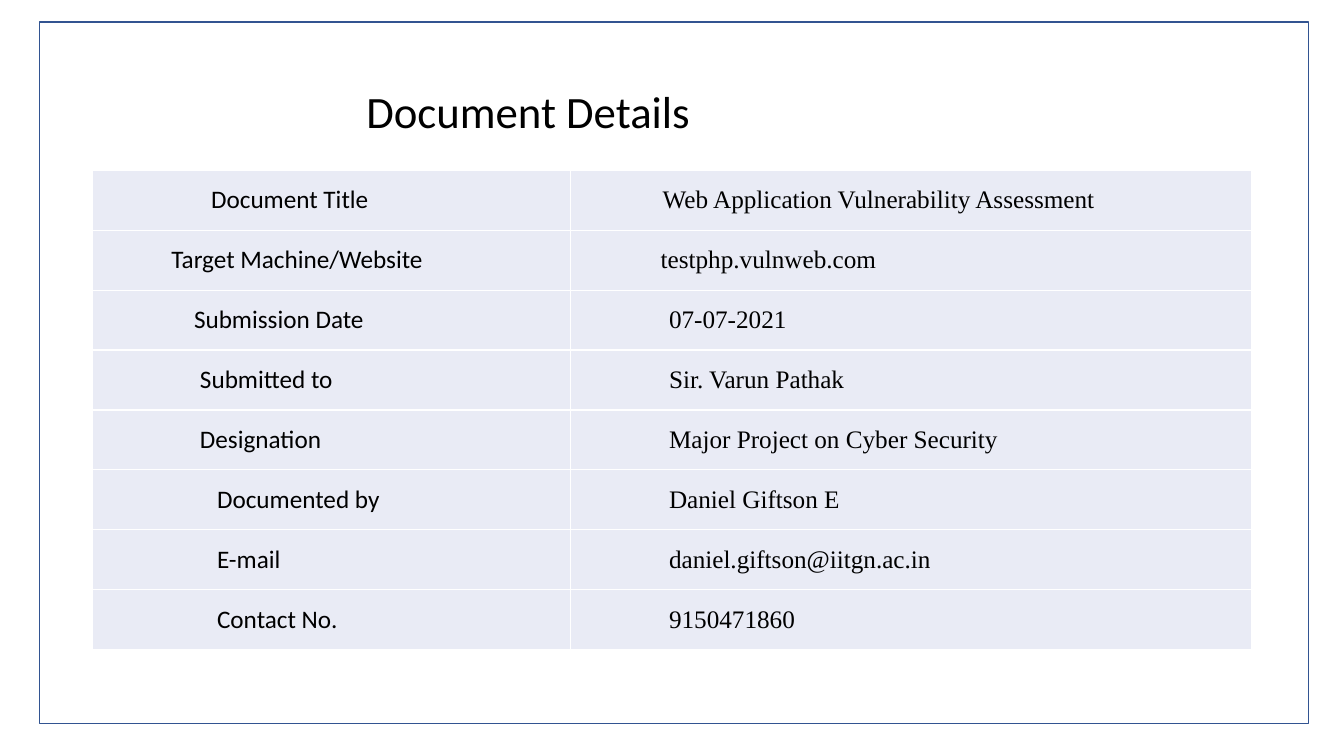
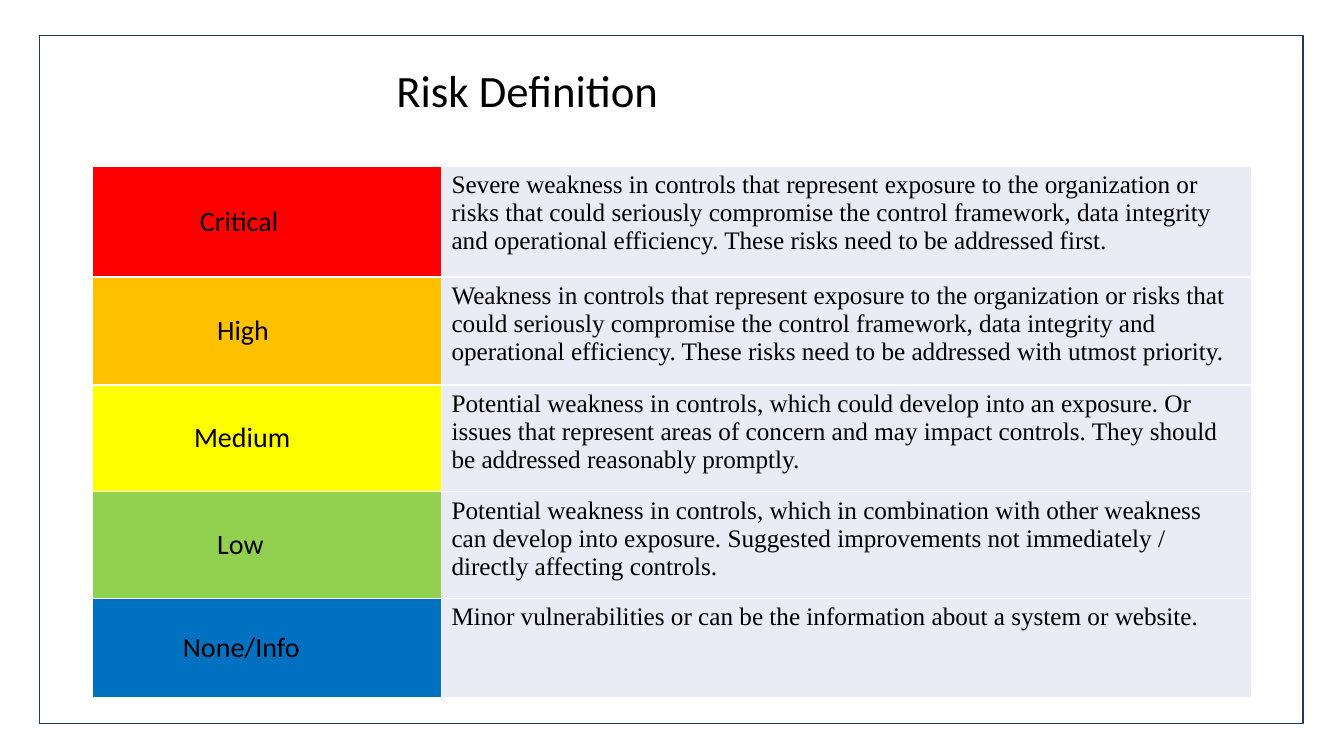
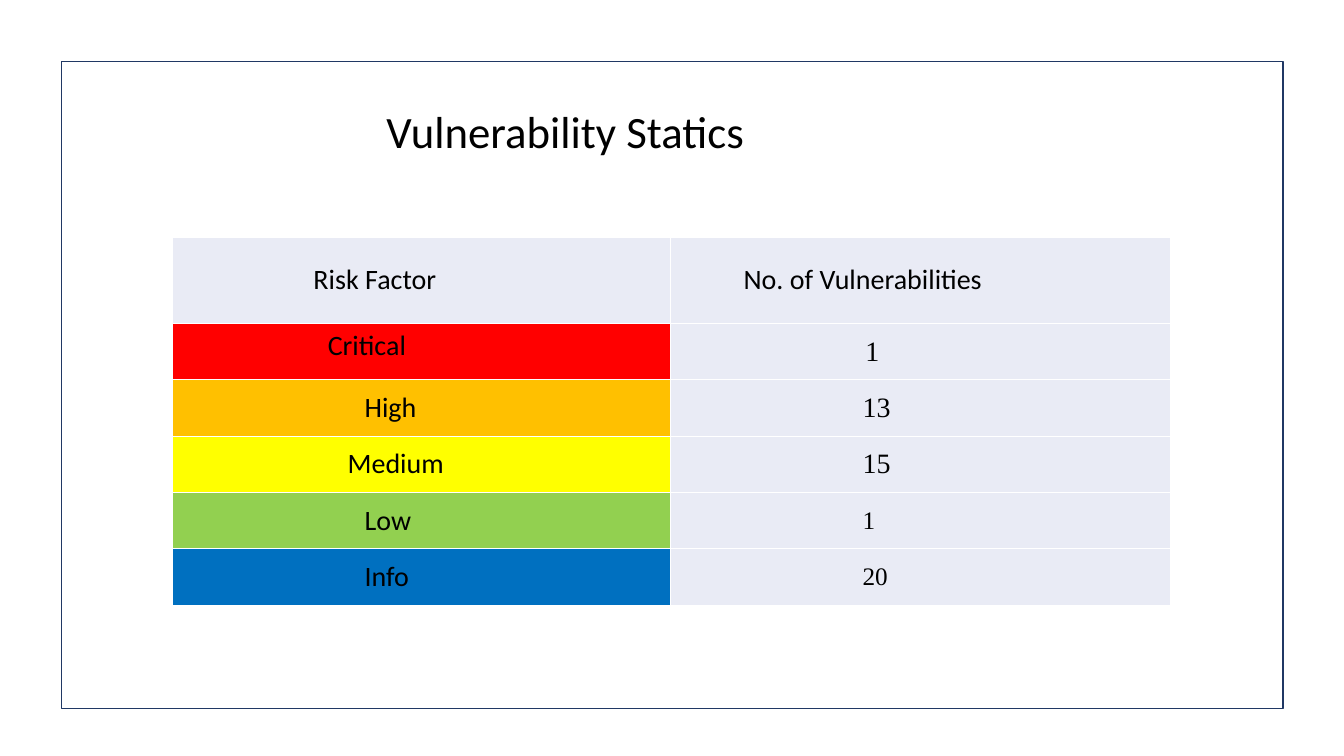
from dataclasses import dataclass

from pptx import Presentation
from pptx.dml.color import RGBColor
from pptx.enum.shapes import MSO_SHAPE
from pptx.enum.text import MSO_ANCHOR, MSO_AUTO_SIZE, PP_ALIGN
from pptx.util import Cm, Pt

TOP, MIDDLE = MSO_ANCHOR.TOP, MSO_ANCHOR.MIDDLE
LEFT = PP_ALIGN.LEFT
NO_FIT = MSO_AUTO_SIZE.NONE
RECTANGLE = MSO_SHAPE.RECTANGLE
TITLE_ONLY = 5


@dataclass(frozen=True)
class Theme:
    sans: str = "Calibri"
    serif: str = "Times New Roman"
    ink: str = "000000"
    cell: str = "E9EBF5"
    blue: str = "325491"
    navy: str = "203864"
    critical: str = "FF0000"
    high: str = "FFC000"
    medium: str = "FFFF00"
    low: str = "92D050"
    info: str = "0070C0"
    title_size: int = 32
    large: int = 20
    body: int = 18


THEME = Theme()
PADDING = 0.25


# Content: each cell is (text, left indent in cm, format)
def label(text, indent, **style):
    return text, indent, {"font": THEME.sans, "size": THEME.large, **style}


def value(text, indent=PADDING, **style):
    return text, indent, {"font": THEME.serif, "size": THEME.body, **style}


details = [
    ("Document Title", 2.98, "Web Application Vulnerability Assessment", 2.32),
    ("Target Machine/Website", 1.98, "testphp.vulnweb.com", 2.27),
    ("Submission Date", 2.55, "07-07-2021", 2.48),
    ("Submitted to", 2.7, "Sir. Varun Pathak", 2.48),
    ("Designation", 2.7, "Major Project on Cyber Security", 2.48),
    ("Documented by", 3.13, "Daniel Giftson E", 2.48),
    ("E-mail", 3.13, "daniel.giftson@iitgn.ac.in", 2.48),
    ("Contact No.", 3.13, "9150471860", 2.48),
]

risks = [
    ("Critical", 2.7, THEME.critical,
     "Severe weakness in controls that represent exposure to the organization or risks that "
     "could seriously compromise the control framework, data integrity and operational "
     "efficiency. These risks need to be addressed first."),
    ("High", 3.13, THEME.high,
     "Weakness in controls that represent exposure to the organization or risks that could "
     "seriously compromise the control framework, data integrity and operational efficiency. "
     "These risks need to be addressed with utmost priority."),
    ("Medium", 2.55, THEME.medium,
     "Potential weakness in controls, which could develop into an exposure. Or issues that "
     "represent areas of concern and may impact controls. They should be addressed reasonably "
     "promptly."),
    ("Low", 3.13, THEME.low,
     "Potential weakness in controls, which in combination with other weakness can develop "
     "into exposure. Suggested improvements not immediately / directly affecting controls."),
    ("None/Info", 2.27, THEME.info,
     "Minor vulnerabilities or can be the information about a system or website."),
]

counts = [
    (label("Critical", 3.92, fill=THEME.critical, anchor=TOP),
     value("1", 4.92, size=THEME.large)),
    (label("High", 4.85, fill=THEME.high), value("13", 4.85, size=THEME.large)),
    (label("Medium", 4.42, fill=THEME.medium), value("15", 4.85, size=THEME.large)),
    (label("Low", 4.85, fill=THEME.low), value("1", 4.85)),
    (label("Info", 4.85, fill=THEME.info), value("20", 4.85)),
]

# Boxes are left, top, width, height in cm
slides = [
    {
        "title": "Document Details", "title_indent": 6.89,
        "title_box": (2.34, 1.02, 29.21, 3.68),
        "frame": (0.99, 0.56, 31.98, 17.68), "frame_color": THEME.blue,
        "table_at": (2.34, 4.29), "columns": (12.04, 17.17), "heights": [1.51] * len(details),
        "rows": [(label(name, name_indent, size=THEME.body), value(entry, entry_indent))
                 for name, name_indent, entry, entry_indent in details],
    },
    {
        "title": "Risk Definition", "title_indent": 7.65,
        "title_box": (2.34, 1.22, 29.21, 2.26),
        "frame": (0.99, 0.89, 31.85, 17.35), "frame_color": THEME.navy,
        "table_at": (2.34, 4.19), "columns": (8.79, 20.42),
        "heights": [2.79, 2.72, 2.69, 2.69, 2.51],
        "rows": [(label(name, indent, fill=color), value(meaning, anchor=TOP))
                 for name, indent, color, meaning in risks],
    },
    {
        "title": "Vulnerability Statics", "title_indent": 7.4,
        "title_box": (2.34, 2.01, 29.21, 2.72),
        "frame": (1.55, 1.55, 30.78, 16.31), "frame_color": THEME.navy,
        "table_at": (4.34, 5.97), "columns": (12.55, 12.62),
        "heights": [2.18] + [1.42] * len(counts),
        "rows": [(label("Risk Factor", 3.56), label("No. of Vulnerabilities", 1.85)), *counts],
    },
]


def write(text_frame, text, font=THEME.sans, size=THEME.body, color=THEME.ink, spacing=None):
    para = text_frame.paragraphs[0]
    para.alignment = LEFT
    para.line_spacing = spacing
    span = para.add_run()
    span.text = text
    span.font.name = font
    span.font.size = Pt(size)
    span.font.color.rgb = RGBColor.from_string(color)


def place_title(slide, text, box, indent):
    title = slide.shapes.title
    title.left, title.top, title.width, title.height = map(Cm, box)
    frame = title.text_frame
    frame.auto_size = NO_FIT
    frame.word_wrap = True
    frame.vertical_anchor = MIDDLE
    frame.margin_left = Cm(indent)
    write(frame, text, size=THEME.title_size, spacing=0.9)


def fill_cell(cell, text, indent, fill=THEME.cell, anchor=MIDDLE, **style):
    cell.fill.solid()
    cell.fill.fore_color.rgb = RGBColor.from_string(fill)
    cell.vertical_anchor = anchor
    cell.margin_left = Cm(indent)
    write(cell.text_frame, text, **style)


def add_grid(slide, at, columns, heights, rows):
    size = sum(columns), sum(heights)
    table = slide.shapes.add_table(len(rows), len(columns), *map(Cm, at + size)).table
    table.first_row = table.horz_banding = False
    for column, width in zip(table.columns, columns):
        column.width = Cm(width)
    for row, height, entries in zip(table.rows, heights, rows):
        row.height = Cm(height)
        for cell, (text, indent, style) in zip(row.cells, entries):
            fill_cell(cell, text, indent, **style)


def add_frame(slide, box, color):
    border = slide.shapes.add_shape(RECTANGLE, *map(Cm, box))
    border.shadow.inherit = False
    border.fill.background()
    border.line.color.rgb = RGBColor.from_string(color)
    border.line.width = Pt(1)


def main():
    deck = Presentation()
    deck.slide_width, deck.slide_height = Cm(33.87), Cm(19.05)
    for page in slides:
        slide = deck.slides.add_slide(deck.slide_layouts[TITLE_ONLY])
        place_title(slide, page["title"], page["title_box"], page["title_indent"])
        add_grid(slide, page["table_at"], page["columns"], page["heights"], page["rows"])
        add_frame(slide, page["frame"], page["frame_color"])
    deck.save("out.pptx")


if __name__ == "__main__":
    main()
